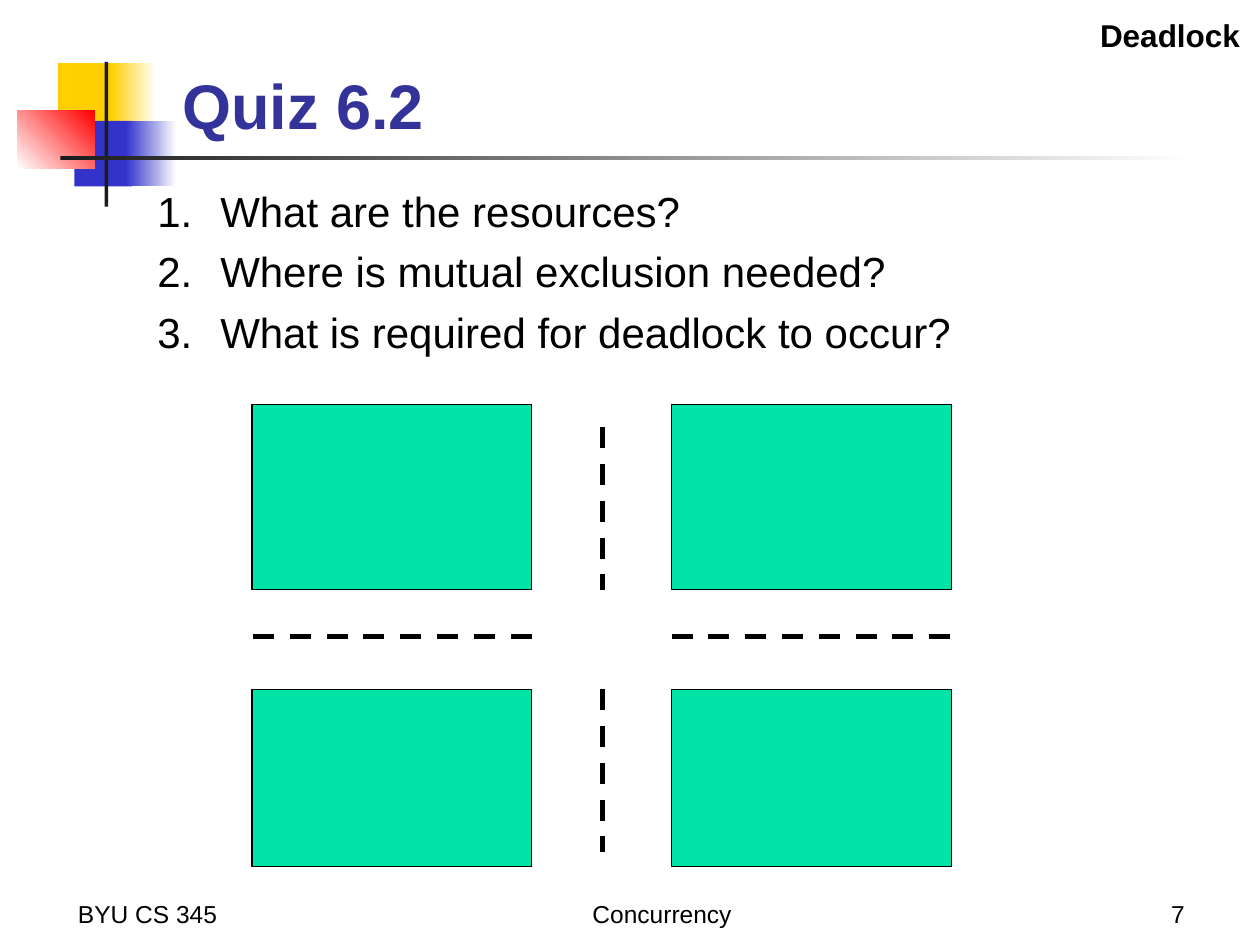
from lxml import etree
from pptx import Presentation
from pptx.dml.color import RGBColor
from pptx.enum.dml import MSO_LINE
from pptx.enum.shapes import MSO_CONNECTOR, MSO_SHAPE
from pptx.enum.text import MSO_ANCHOR, PP_ALIGN
from pptx.oxml.ns import qn
from pptx.util import Inches, Pt

BLACK = RGBColor(0x00, 0x00, 0x00)
WHITE = RGBColor(0xFF, 0xFF, 0xFF)
YELLOW = RGBColor(0xFF, 0xCF, 0x01)
BLUE = RGBColor(0x33, 0x33, 0xCC)
RED = RGBColor(0xFF, 0x00, 0x00)
DARK = RGBColor(0x1C, 0x1C, 0x1C)
GREEN = RGBColor(0x00, 0xE4, 0xA8)
NAVY = RGBColor(0x33, 0x33, 0x99)

prs = Presentation()
prs.slide_width, prs.slide_height = Inches(10), Inches(7.5)
s = prs.slides.add_slide(prs.slide_layouts[6])


def add_rect(box, colors, angle=0):
    sp = s.shapes.add_shape(MSO_SHAPE.RECTANGLE, *map(Inches, box))
    sp.shadow.inherit = False
    sp.line.fill.background()
    if len(colors) == 1:
        sp.fill.solid()
        sp.fill.fore_color.rgb = colors[0]
    else:
        sp.fill.gradient()
        sp.fill.gradient_angle = angle
        for stop, color in zip(sp.fill.gradient_stops, colors):
            stop.color.rgb = color
    return sp


def add_text(box, lines, size, color=BLACK, bold=False, align=PP_ALIGN.LEFT,
             anchor=MSO_ANCHOR.TOP, numbered=False):
    tf = s.shapes.add_textbox(*map(Inches, box)).text_frame
    tf.word_wrap = True
    tf.vertical_anchor = anchor
    for i, line in enumerate(lines):
        p = tf.paragraphs[0] if i == 0 else tf.add_paragraph()
        p.alignment = align
        if i:
            p.space_before = Pt(5.8)
        if numbered:
            pPr = p._p.get_or_add_pPr()
            pPr.set("marL", str(Inches(0.5)))
            pPr.set("indent", str(-Inches(0.5)))
            font = etree.SubElement(pPr, qn("a:buFont"))
            font.set("typeface", "Arial")
            etree.SubElement(pPr, qn("a:buAutoNum")).set("type", "arabicPeriod")
        r = p.add_run()
        r.text = line
        r.font.name = "Arial"
        r.font.size = Pt(size)
        r.font.bold = bold
        r.font.color.rgb = color


for box, colors, angle in [
    ((0.46, 0.5, 0.48, 0.52), [YELLOW], 0),
    ((0.88, 0.5, 0.36, 0.52), [YELLOW, WHITE], 0),
    ((0.59, 0.96, 0.46, 0.52), [BLUE], 0),
    ((1, 0.96, 0.4, 0.52), [BLUE, WHITE], 0),
    ((0.14, 0.88, 0.61, 0.46), [WHITE, RED], 45),
    ((0.83, 0.49, 0.03, 1.15), [DARK], 0),
    ((0.48, 1.24, 9, 0.03), [DARK, WHITE], 0),
]:
    add_rect(box, colors, angle)

for left, width, text, align in [
    (0.52, 2.08, "BYU CS 345", PP_ALIGN.LEFT),
    (3.67, 3.17, "Concurrency", PP_ALIGN.CENTER),
    (7.42, 2.08, "7", PP_ALIGN.RIGHT),
]:
    add_text((left, 6.92, width, 0.5), [text], 14, align=align,
             anchor=MSO_ANCHOR.BOTTOM)

for top, height in [(3.21, 1.47), (5.47, 1.41)]:
    for left in (2, 5.33):
        block = add_rect((left, top, 2.22, height), [GREEN])
        block.line.color.rgb = BLACK
        block.line.width = Pt(0.75)

for ends in [
    (4.22, 5.05, 2, 5.05),
    (5.33, 5.05, 7.55, 5.05),
    (4.78, 3.39, 4.78, 4.68),
    (4.78, 5.47, 4.78, 6.76),
]:
    road = s.shapes.add_connector(MSO_CONNECTOR.STRAIGHT, *map(Inches, ends))
    road.line.color.rgb = BLACK
    road.line.width = Pt(3)
    road.line.dash_style = MSO_LINE.DASH
    etree.SubElement(road._element.spPr, qn("a:effectLst"))

add_text((7.07, 0.08, 2.87, 0.4), ["Deadlock"], 18, bold=True,
         align=PP_ALIGN.RIGHT)
add_text((1.35, 0.23, 8.52, 0.95), ["Quiz 6.2"], 36, NAVY, bold=True,
         anchor=MSO_ANCHOR.BOTTOM)
add_text((1.15, 1.42, 7.26, 1.35), [
    "What are the resources?",
    "Where is mutual exclusion needed?",
    "What is required for deadlock to occur?",
], 24, numbered=True)

prs.save("out.pptx")
